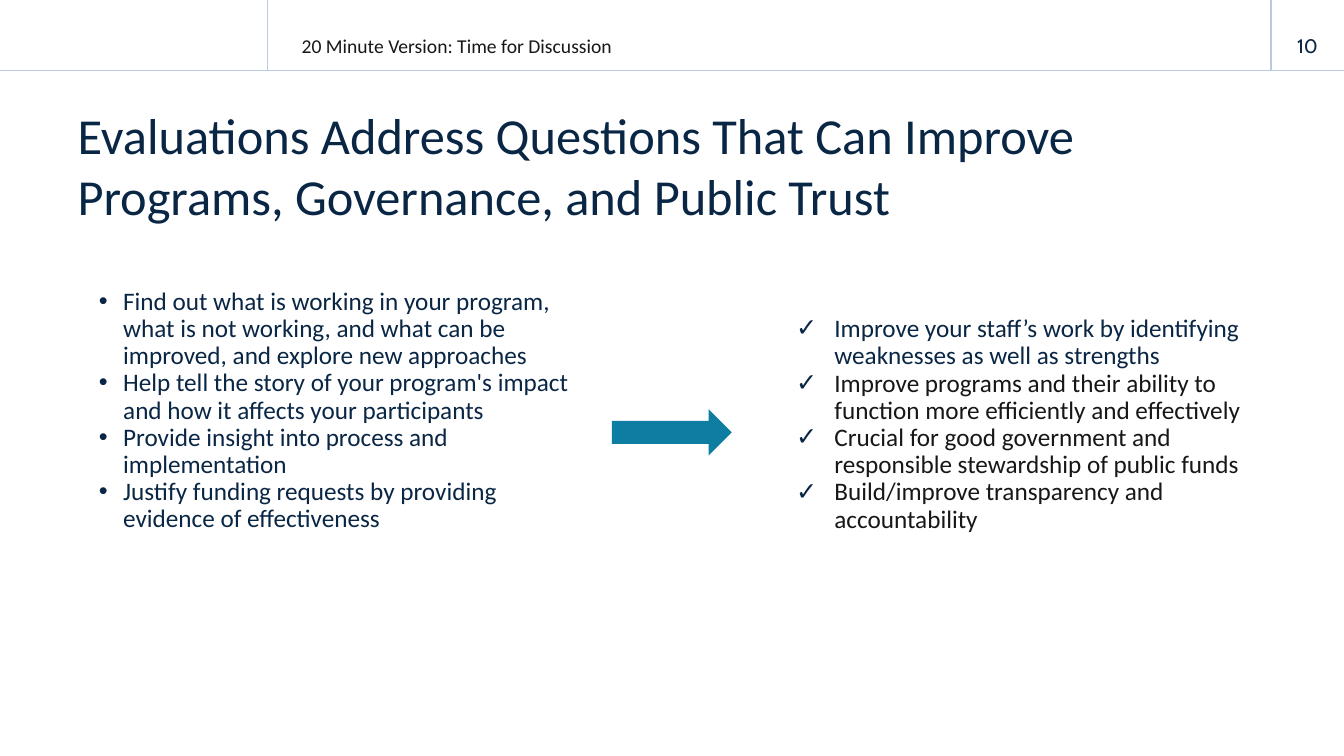
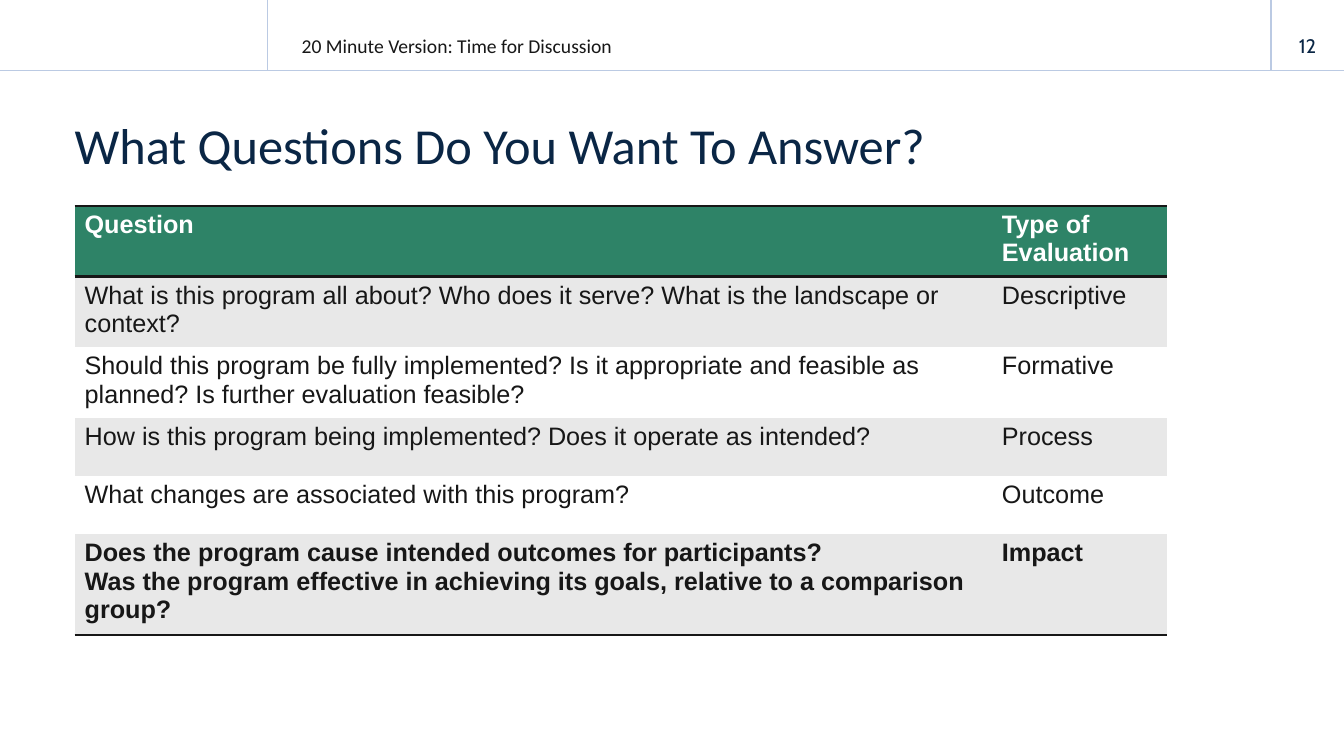
from dataclasses import dataclass

import lxml.etree
import pptx
import pptx.dml.color
import pptx.enum.shapes
import pptx.enum.text
import pptx.oxml.ns
import pptx.presentation
import pptx.shapes.base
import pptx.slide
import pptx.table
import pptx.text.text
import pptx.util

Pt = pptx.util.Pt
qn = pptx.oxml.ns.qn
Align = pptx.enum.text.PP_ALIGN
Anchor = pptx.enum.text.MSO_ANCHOR


@dataclass(frozen=True)
class Theme:
    navy: str = "0A2645"
    ink: str = "171717"
    white: str = "FFFFFF"
    rule: str = "BBCAE3"
    teal: str = "0D7EA2"
    green: str = "2E8367"
    band: str = "E8E8E8"
    text_font: str = "Calibri"
    table_font: str = "Arial"
    number_font: str = "Cabin"
    title_size: float = 36
    body_size: float = 18
    small_size: float = 14


@dataclass(frozen=True)
class Box:
    left: float
    top: float
    width: float
    height: float

    def lengths(self) -> tuple[pptx.util.Length, ...]:
        return Pt(self.left), Pt(self.top), Pt(self.width), Pt(self.height)


@dataclass(frozen=True)
class Style:
    size: float
    color: str
    font: str
    bold: bool = False


@dataclass(frozen=True)
class Bullet:
    mark: str
    indent: float
    hanging: float


@dataclass(frozen=True)
class Item:
    text: str
    color: str


@dataclass(frozen=True)
class Row:
    question: tuple[str, ...]
    kind: str
    fill: str
    color: str = Theme.ink
    bold: bool = False
    rule_above: bool = False
    rule_below: bool = False


THEME = Theme()
SLIDE_WIDTH, SLIDE_HEIGHT = 960, 540
HEADER_HEIGHT = 50.4
HEADER_DIVIDERS = (191, 908)
NO_TABLE_STYLE = "{2D5ABB26-0587-4C30-8999-92F81FD0307C}"

TITLE = Style(THEME.title_size, THEME.navy, THEME.text_font)
HEADER = Style(THEME.small_size, THEME.ink, THEME.text_font)
NUMBER = Style(THEME.small_size, THEME.navy, THEME.number_font)

DOT = Bullet("•", 18, 17.3)
CHECK = Bullet("✓", 28, 27.4)

USES = (
    Item("Find out what is working in your program, what is not working, "
         "and what can be improved, and explore new approaches", THEME.navy),
    Item("Help tell the story of your program's impact and how it affects "
         "your participants", THEME.navy),
    Item("Provide insight into process and implementation", THEME.navy),
    Item("Justify funding requests by providing evidence of effectiveness", THEME.navy),
)
BENEFITS = (
    Item("Improve your staff’s work by identifying weaknesses as well as strengths",
         THEME.navy),
    Item("Improve programs and their ability to function more efficiently and "
         "effectively", THEME.ink),
    Item("Crucial for good government and responsible stewardship of public funds",
         THEME.ink),
    Item("Build/improve transparency and accountability", THEME.ink),
)
ROWS = (
    Row(("Question",), "Type of Evaluation", THEME.green, THEME.white, True, True, True),
    Row(("What is this program all about? Who does it serve? What is the landscape "
         "or context?",), "Descriptive", THEME.band),
    Row(("Should this program be fully implemented? Is it appropriate and feasible "
         "as planned? Is further evaluation feasible?",), "Formative", THEME.white),
    Row(("How is this program being implemented? Does it operate as intended?",),
        "Process", THEME.band),
    Row(("What changes are associated with this program?",), "Outcome", THEME.white),
    Row(("Does the program cause intended outcomes for participants?",
         "Was the program effective in achieving its goals, relative to a "
         "comparison group?"), "Impact", THEME.band, bold=True, rule_below=True),
)


def rgb(color: str) -> pptx.dml.color.RGBColor:
    return pptx.dml.color.RGBColor.from_string(color)


def add_run(paragraph: pptx.text.text._Paragraph, text: str, style: Style) -> None:
    run = paragraph.add_run()
    run.text = text
    run.font.size = Pt(style.size)
    run.font.name = style.font
    run.font.bold = style.bold
    run.font.color.rgb = rgb(style.color)


def next_paragraph(frame: pptx.text.text.TextFrame, index: int) -> pptx.text.text._Paragraph:
    """Return the paragraph a frame starts with, or a new one after it."""
    return frame.add_paragraph() if index else frame.paragraphs[0]


def add_frame(slide: pptx.slide.Slide, box: Box, anchor: Anchor,
              margins: tuple[float, float, float, float]) -> pptx.text.text.TextFrame:
    """Add a wrapping text box; margins are left, top, right, bottom."""
    frame = slide.shapes.add_textbox(*box.lengths()).text_frame
    frame.word_wrap = True
    frame.vertical_anchor = anchor
    (frame.margin_left, frame.margin_top,
     frame.margin_right, frame.margin_bottom) = map(Pt, margins)
    return frame


def add_rule(slide: pptx.slide.Slide, x1: float, y1: float, x2: float, y2: float) -> None:
    line = slide.shapes.add_connector(
        pptx.enum.shapes.MSO_CONNECTOR.STRAIGHT, Pt(x1), Pt(y1), Pt(x2), Pt(y2))
    line.line.color.rgb = rgb(THEME.rule)
    line.line.width = Pt(1)
    lxml.etree.SubElement(line._element.spPr, qn("a:effectLst"))


def add_base_slide(presentation: pptx.presentation.Presentation, number: int,
                   title: str, title_box: Box) -> pptx.slide.Slide:
    """Add a blank slide with the header band, page number and title."""
    slide = presentation.slides.add_slide(presentation.slide_layouts[6])
    add_rule(slide, 0, HEADER_HEIGHT, SLIDE_WIDTH, HEADER_HEIGHT)
    for x in HEADER_DIVIDERS:
        add_rule(slide, x, 0, x, HEADER_HEIGHT)

    header = add_frame(slide, Box(215.4, 8.6, 245, 32.4), Anchor.BOTTOM, (0, 3.6, 7.2, 0))
    add_run(header.paragraphs[0], "20 Minute Version: Time for Discussion", HEADER)

    number_box = Box(HEADER_DIVIDERS[-1], 18, SLIDE_WIDTH - HEADER_DIVIDERS[-1], 28.8)
    page = add_frame(slide, number_box, Anchor.MIDDLE, (7.2, 3.6, 7.2, 3.6))
    page.paragraphs[0].alignment = Align.CENTER
    add_run(page.paragraphs[0], str(number), NUMBER)

    heading = add_frame(slide, title_box, Anchor.MIDDLE, (0, 3.6, 7.2, 3.6))
    add_run(heading.paragraphs[0], title, TITLE)
    return slide


def set_bullet(paragraph: pptx.text.text._Paragraph, bullet: Bullet) -> None:
    properties = paragraph._p.get_or_add_pPr()
    properties.set("marL", str(Pt(bullet.indent)))
    properties.set("indent", str(-Pt(bullet.hanging)))
    color = lxml.etree.SubElement(properties, qn("a:buClr"))
    lxml.etree.SubElement(color, qn("a:srgbClr"), val=THEME.navy)
    lxml.etree.SubElement(properties, qn("a:buFont"), typeface="Arial")
    lxml.etree.SubElement(properties, qn("a:buChar"), char=bullet.mark)


def add_list(slide: pptx.slide.Slide, box: Box, items: tuple[Item, ...],
             bullet: Bullet) -> None:
    frame = add_frame(slide, box, Anchor.TOP, (0, 0, 0, 0))
    for index, item in enumerate(items):
        paragraph = next_paragraph(frame, index)
        paragraph.line_spacing = 0.9
        set_bullet(paragraph, bullet)
        add_run(paragraph, item.text, Style(THEME.body_size, item.color, THEME.text_font))


def add_arrow(slide: pptx.slide.Slide, box: Box) -> None:
    arrow = slide.shapes.add_shape(
        pptx.enum.shapes.MSO_SHAPE.RIGHT_ARROW, *box.lengths())
    arrow.shadow.inherit = False
    arrow.fill.solid()
    arrow.fill.fore_color.rgb = rgb(THEME.teal)
    arrow.line.fill.background()


def add_cell_border(cell: pptx.table._Cell, tag: str) -> None:
    border = lxml.etree.Element(qn(tag), w=str(Pt(2)))
    fill = lxml.etree.SubElement(border, qn("a:solidFill"))
    lxml.etree.SubElement(fill, qn("a:srgbClr"), val=THEME.ink)
    cell._tc.get_or_add_tcPr().insert(0, border)


def fill_cell(cell: pptx.table._Cell, lines: tuple[str, ...], row: Row) -> None:
    cell.fill.solid()
    cell.fill.fore_color.rgb = rgb(row.fill)
    style = Style(THEME.body_size, row.color, THEME.table_font, row.bold)
    for index, line in enumerate(lines):
        add_run(next_paragraph(cell.text_frame, index), line, style)
    if row.rule_below:
        add_cell_border(cell, "a:lnB")
    if row.rule_above:
        add_cell_border(cell, "a:lnT")


def add_question_table(slide: pptx.slide.Slide, left: float, top: float) -> None:
    column_widths = (655.2, 125.3)
    row_height = 41.6
    box = Box(left, top, sum(column_widths), row_height * len(ROWS))
    table = slide.shapes.add_table(
        len(ROWS), len(column_widths), *box.lengths()).table
    table.horz_banding = False
    table._tbl.tblPr.find(qn("a:tableStyleId")).text = NO_TABLE_STYLE
    for column, width in zip(table.columns, column_widths):
        column.width = Pt(width)
    for index, row in enumerate(ROWS):
        fill_cell(table.cell(index, 0), row.question, row)
        fill_cell(table.cell(index, 1), (row.kind,), row)


def build_benefits_slide(presentation: pptx.presentation.Presentation) -> None:
    slide = add_base_slide(
        presentation, 10,
        "Evaluations Address Questions That Can Improve Programs, Governance, "
        "and Public Trust", Box(55.4, 65.5, 852.5, 104.4))
    add_list(slide, Box(70, 206, 353, 190), USES, DOT)
    add_list(slide, Box(568, 225.6, 353, 170), BENEFITS, CHECK)
    add_arrow(slide, Box(437, 292.3, 85.7, 33.1))


def build_questions_slide(presentation: pptx.presentation.Presentation) -> None:
    slide = add_base_slide(
        presentation, 12, "What Questions Do You Want To Answer?",
        Box(53.3, 68.4, 787, 69.1))
    add_question_table(slide, 53.3, 147)


def main() -> None:
    presentation = pptx.Presentation()
    presentation.slide_width = Pt(SLIDE_WIDTH)
    presentation.slide_height = Pt(SLIDE_HEIGHT)
    build_benefits_slide(presentation)
    build_questions_slide(presentation)
    presentation.save("out.pptx")


if __name__ == "__main__":
    main()
